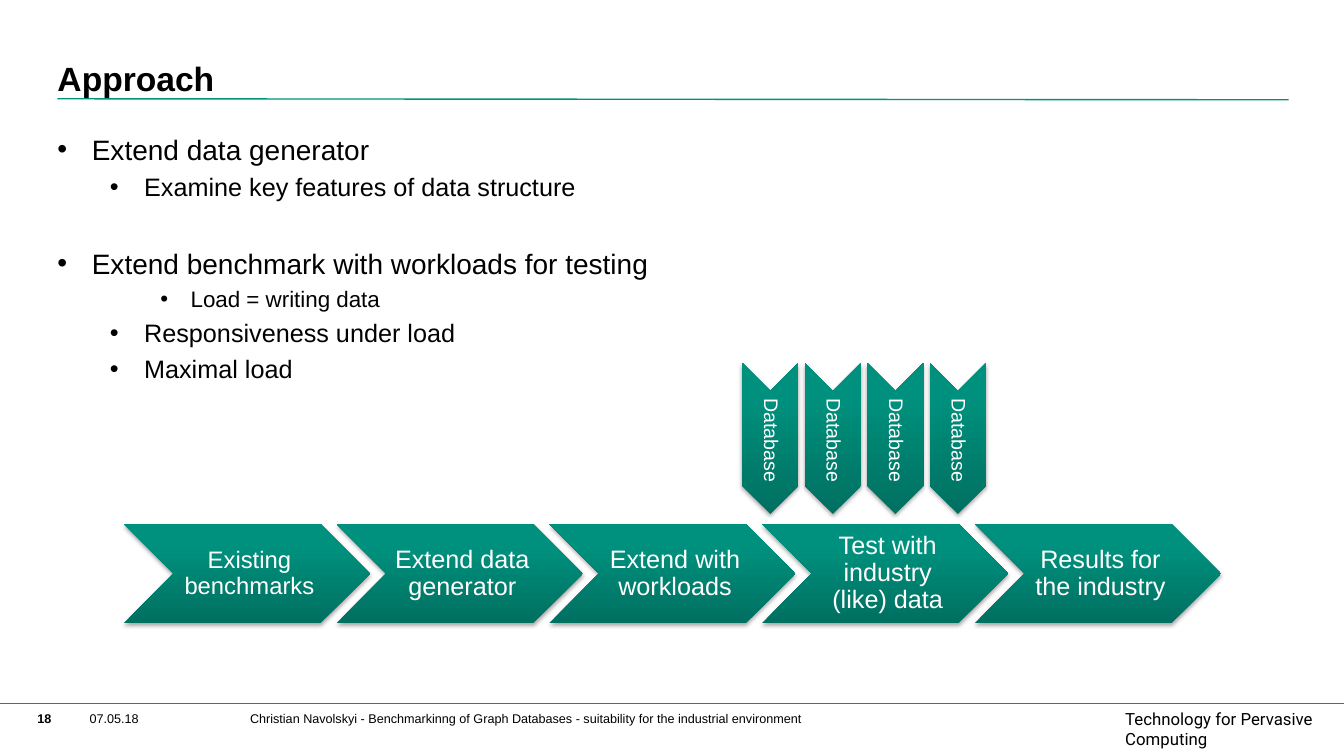
import pptx
import pptx.util
import pptx.dml.color
import pptx.enum.shapes
import pptx.enum.text
import pptx.oxml
import pptx.oxml.ns

PX = 9144
GREEN = "00927F"
BLACK = "000000"
WHITE = "FFFFFF"
ALIGN = pptx.enum.text.PP_ALIGN
ANCHOR = pptx.enum.text.MSO_ANCHOR

BULLETS = [
    (0, "Extend data generator", 4.6),
    (1, "Examine key features of data structure", 4.1),
    (0, "Extend benchmark with workloads for testing", 32),
    (2, "Load = writing data", 3.7),
    (1, "Responsiveness under load", 4.1),
    (1, "Maximal load", 4.1),
]
LEVELS = [(20, 34, 34), (18, 86, 34), (16, 132, 30)]
STEPS = [
    ("Existing benchmarks", 17),
    ("Extend data generator", 18),
    ("Extend with workloads", 18),
    ("Test with industry (like) data", 18),
    ("Results for the industry", 18),
]
STOPS = [(0, "007061"), (80, "00917E"), (100, GREEN)]


def px(n):
    return pptx.util.Emu(n * PX)


def color(value):
    return pptx.dml.color.RGBColor.from_string(value)


def xml(tag, attrs="", inner=""):
    ns = pptx.oxml.ns.nsdecls("a")
    return pptx.oxml.parse_xml(f"<a:{tag} {ns} {attrs}>{inner}</a:{tag}>")


def add_run(p, text, size, fill=BLACK, bold=False, font="Arial"):
    r = p.add_run()
    r.text = text
    r.font.size = pptx.util.Pt(size)
    r.font.name = font
    r.font.bold = bold
    r.font.color.rgb = color(fill)


def set_frame(tf, anchor, left=0, other=0):
    tf.word_wrap = True
    tf.vertical_anchor = anchor
    tf.margin_left = px(left)
    tf.margin_top = tf.margin_right = tf.margin_bottom = px(other)


def add_box(s, x, y, w, h, anchor=ANCHOR.TOP):
    tf = s.shapes.add_textbox(px(x), px(y), px(w), px(h)).text_frame
    set_frame(tf, anchor)
    return tf


def add_label(s, x, y, w, h, text, size, anchor=ANCHOR.TOP, **style):
    tf = add_box(s, x, y, w, h, anchor)
    add_run(tf.paragraphs[0], text, size, **style)


def add_rule(s, x1, y1, x2, y2):
    line = s.shapes.add_connector(
        pptx.enum.shapes.MSO_CONNECTOR.STRAIGHT, px(x1), px(y1), px(x2), px(y2))
    line.line.color.rgb = color(GREEN)
    line.line.width = pptx.util.Pt(1)
    line._element.spPr.append(xml("effectLst"))


def add_bullets(s):
    tf = add_box(s, 57, 131, 1219, 535)
    for i, (level, text, before) in enumerate(BULLETS):
        size, margin, hang = LEVELS[level]
        p = tf.add_paragraph() if i else tf.paragraphs[0]
        p.level = level
        p.space_before = pptx.util.Pt(before)
        pPr = p._p.get_or_add_pPr()
        pPr.set("marL", str(px(margin)))
        pPr.set("indent", str(-px(hang)))
        pPr.append(xml("buFont", 'typeface="Arial"'))
        pPr.append(xml("buChar", 'char="•"'))
        add_run(p, text, size)


def add_chevron(s, x, y, w, h, text, size, left, other, rotation=0):
    sp = s.shapes.add_shape(
        pptx.enum.shapes.MSO_SHAPE.CHEVRON, px(x), px(y), px(w), px(h))
    sp.rotation = rotation
    sp.line.fill.background()
    stops = "".join(
        f'<a:gs pos="{pos * 1000}"><a:srgbClr val="{value}"/></a:gs>'
        for pos, value in STOPS)
    ln = sp._element.spPr.find(pptx.oxml.ns.qn("a:ln"))
    ln.addprevious(xml(
        "gradFill", 'rotWithShape="0"',
        f'<a:gsLst>{stops}</a:gsLst><a:lin ang="16200000" scaled="0"/>'))
    ln.addnext(xml(
        "effectLst", "",
        '<a:outerShdw blurRad="40000" dist="23000" dir="5400000" rotWithShape="0">'
        f'<a:srgbClr val="{BLACK}"><a:alpha val="35000"/></a:srgbClr></a:outerShdw>'))
    tf = sp.text_frame
    set_frame(tf, ANCHOR.MIDDLE, left, other)
    p = tf.paragraphs[0]
    p.alignment = ALIGN.CENTER
    p.line_spacing = 0.9
    add_run(p, text, size, WHITE)


def add_footer(s):
    add_label(s, 1116, 703, 192, 42, "Technology for Pervasive Computing", 12, font="Roboto")
    add_rule(s, 0, 698, 1333, 698)
    add_label(s, 37, 705, 47, 24, "18", 9, bold=True)
    add_label(s, 89, 705, 126, 39, "07.05.18", 9)
    add_label(s, 248, 705, 619, 39,
              "Christian Navolskyi - Benchmarkinng of Graph Databases"
              " - suitability for the industrial environment", 9)


def main():
    prs = pptx.Presentation()
    prs.slide_width, prs.slide_height = px(1333), px(750)
    s = prs.slides.add_slide(prs.slide_layouts[6])
    add_footer(s)
    add_rule(s, 57, 98, 1278, 99)
    add_label(s, 57, 36, 1008, 61, "Approach", 24, ANCHOR.BOTTOM, bold=True)
    add_bullets(s)
    for i in range(4):
        add_chevron(s, 689 + 62 * i, 407, 150, 56, "Database", 14, 6, 2, rotation=90)
    for i, (text, size) in enumerate(STEPS):
        add_chevron(s, 123 + 211 * i, 520, 244, 98, text, size, 8, 3)
    prs.save("out.pptx")


if __name__ == "__main__":
    main()
